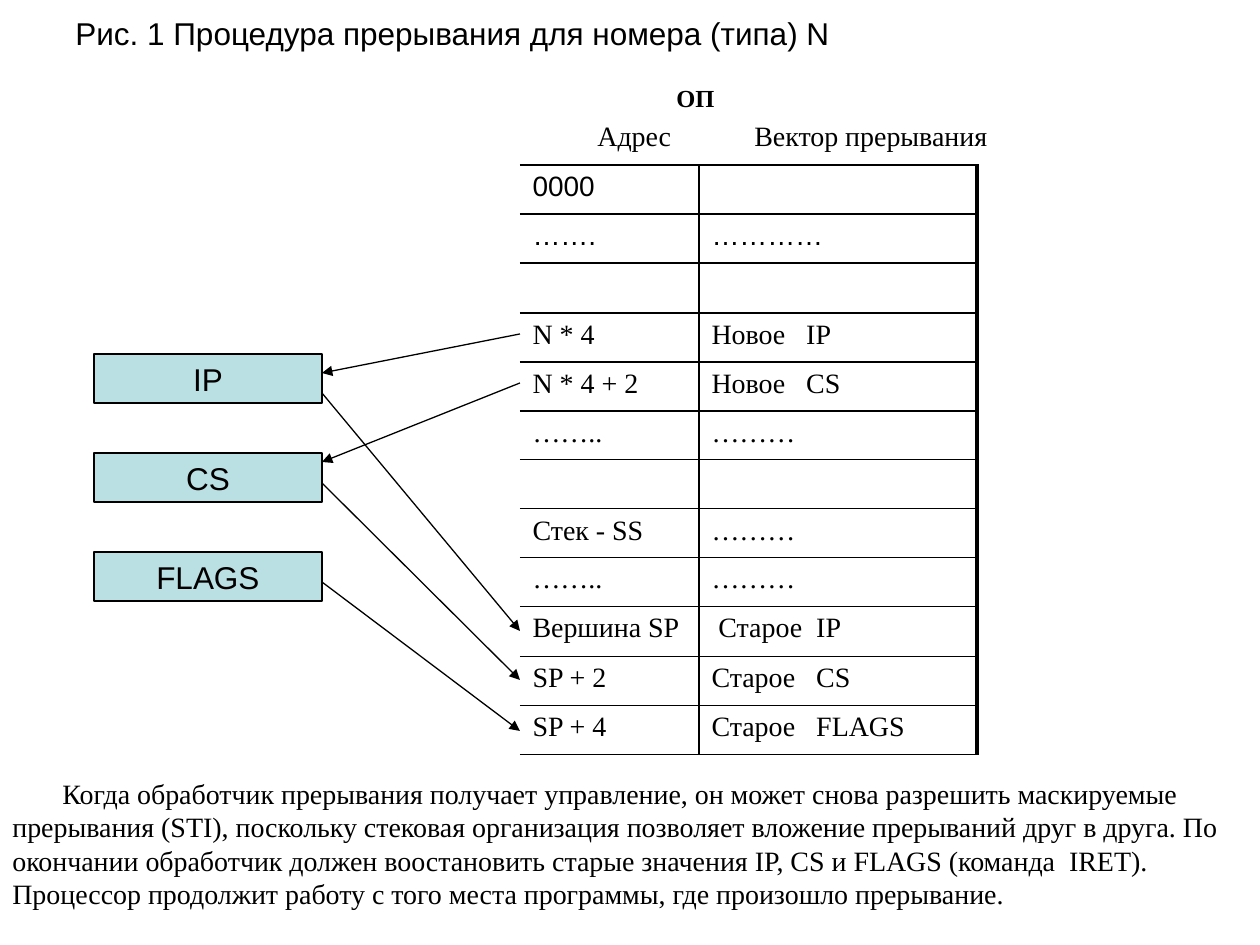
from typing import NamedTuple

from lxml import etree
from pptx import Presentation
from pptx.dml.color import RGBColor
from pptx.enum.shapes import MSO_CONNECTOR, MSO_SHAPE
from pptx.enum.text import MSO_ANCHOR, PP_ALIGN
from pptx.oxml.ns import qn
from pptx.util import Emu, Pt

PX = 914400 // 126
LINE = MSO_CONNECTOR.STRAIGHT
RECT = MSO_SHAPE.RECTANGLE
MID, TOP = MSO_ANCHOR.MIDDLE, MSO_ANCHOR.TOP
LEFT, CENTER = PP_ALIGN.LEFT, PP_ALIGN.CENTER
HUES = {"ink": "000000", "box": "BBE0E3", "page": "FFFFFF"}
SANS, SERIF = "Arial", "Times New Roman"


class Label(NamedTuple):
    """A free text and its frame."""
    text: str
    left: int
    top: int
    width: int
    height: int
    size: int
    font: str = SERIF
    bold: bool = False
    indent: int = 0
    anchor: MSO_ANCHOR = TOP


class Row(NamedTuple):
    """One line of the memory table."""
    addr: str = ""
    value: str = ""
    font: str = SERIF


class Arrow(NamedTuple):
    """An arrow between the table and a register."""
    x1: int
    y1: int
    x2: int
    y2: int


BOX_X, BOX_Y, BOX_W, BOX_H, STEP = 94, 354, 228, 49, 99
TAB_X, TAB_Y, TAB_H = 520, 165, 590
COLS = (179, 278)
EDGE = BOX_X + BOX_W
REGS = ("IP", "CS", "FLAGS")

LABELS = (
    Label("Рис. 1 Процедура прерывания для номера (типа) N",
          63, 0, 1134, 66, 18, SANS, anchor=MID),
    Label("ОП", 664, 77, 80, 40, 14, bold=True),
    Label("Адрес", 585, 112, 110, 46, 16),
    Label("Вектор прерывания", 742, 112, 270, 46, 16),
    Label("Когда обработчик прерывания получает управление, он может снова "
          "разрешить маскируемые прерывания (STI), поскольку стековая "
          "организация позволяет вложение прерываний друг в друга. По "
          "окончании обработчик должен воостановить старые значения IP, CS "
          "и FLAGS (команда  IRET). Процессор продолжит работу с того места "
          "программы, где произошло прерывание.",
          0, 770, 1260, 150, 16, indent=50),
)

ROWS = (
    Row("0000", font=SANS),
    Row("…….", "…………", SANS),
    Row(),
    Row("N * 4", "Новое   IP"),
    Row("N * 4 + 2", "Новое   CS"),
    Row("……..", "………"),
    Row(),
    Row("Стек - SS", "………"),
    Row("……..", "………"),
    Row("Вершина SP", " Старое  IP"),
    Row("SP + 2", "Старое   CS"),
    Row("SP + 4", "Старое   FLAGS"),
)

ARROWS = (
    Arrow(TAB_X, 334, EDGE, 373),
    Arrow(TAB_X, 383, EDGE, 462),
    Arrow(EDGE, 393, TAB_X, 631),
    Arrow(EDGE, 483, TAB_X, 680),
    Arrow(EDGE, 582, TAB_X, 731),
)


def px(*vals: int) -> list[Emu]:
    """Turn pixels into EMU."""
    return [Emu(val * PX) for val in vals]


def hue(name: str) -> RGBColor:
    """Look up a named colour."""
    return RGBColor.from_string(HUES[name])


def put(frame, text: str, size: int, font: str, bold: bool = False,
        align: PP_ALIGN = LEFT) -> None:
    """Write one run into the first paragraph of a frame."""
    para = frame.paragraphs[0]
    para.alignment = align
    para.font.size = Pt(size)
    if not text:
        return
    run = para.add_run()
    run.text = text
    run.font.size = Pt(size)
    run.font.name = font
    run.font.bold = bold
    run.font.color.rgb = hue("ink")


def add_label(slide, item: Label) -> None:
    """Add a free text."""
    box = slide.shapes.add_textbox(
        *px(item.left, item.top, item.width, item.height))
    frame = box.text_frame
    frame.word_wrap = True
    frame.vertical_anchor = item.anchor
    put(frame, item.text, item.size, item.font, item.bold)
    if item.indent:
        props = frame.paragraphs[0]._p.get_or_add_pPr()
        props.set("indent", str(item.indent * PX))


def add_reg(slide, name: str, top: int) -> None:
    """Add a register box."""
    box = slide.shapes.add_shape(RECT, *px(BOX_X, top, BOX_W, BOX_H))
    box.shadow.inherit = False
    box.fill.solid()
    box.fill.fore_color.rgb = hue("box")
    box.line.color.rgb = hue("ink")
    box.line.width = Pt(0.75)
    frame = box.text_frame
    frame.word_wrap = False
    frame.vertical_anchor = MID
    put(frame, name, 18, SANS, align=CENTER)


def add_edge(cell, side: str, width: float) -> None:
    """Draw one cell border; zero width means none."""
    props = cell._tc.get_or_add_tcPr()
    line = etree.SubElement(props, qn("a:ln" + side), w=str(Pt(width)))
    if not width:
        etree.SubElement(line, qn("a:noFill"))
        return
    fill = etree.SubElement(line, qn("a:solidFill"))
    etree.SubElement(fill, qn("a:srgbClr"), val=HUES["ink"])


def add_grid(slide) -> None:
    """Add the memory table."""
    count = len(ROWS)
    grid = slide.shapes.add_table(
        count, len(COLS), *px(TAB_X, TAB_Y, sum(COLS), TAB_H)).table
    grid.first_row = grid.horz_banding = False
    for col, width in zip(grid.columns, px(*COLS)):
        col.width = width
    edges = [round(TAB_H * i / count) for i in range(count + 1)]
    for r, row in enumerate(ROWS):
        grid.rows[r].height = px(edges[r + 1] - edges[r])[0]
        for c, text in enumerate((row.addr, row.value)):
            cell = grid.cell(r, c)
            sides = {"L": c, "R": 2.25 if c else 1, "T": 1, "B": 1}
            for side, width in sides.items():
                add_edge(cell, side, width)
            cell.fill.background()
            put(cell.text_frame, text, 16, row.font)


def add_arrow(slide, item: Arrow) -> None:
    """Add a line with a triangle at its end."""
    link = slide.shapes.add_connector(LINE, *px(*item))
    link.line.color.rgb = hue("ink")
    link.line.width = Pt(0.75)
    etree.SubElement(link.line._get_or_add_ln(), qn("a:tailEnd"),
                     type="triangle")
    etree.SubElement(link._element.spPr, qn("a:effectLst"))


def main() -> None:
    """Build the slide and save it."""
    deck = Presentation()
    deck.slide_width, deck.slide_height = px(1260, 945)
    slide = deck.slides.add_slide(deck.slide_layouts[6])
    slide.background.fill.solid()
    slide.background.fill.fore_color.rgb = hue("page")
    for item in LABELS:
        add_label(slide, item)
    add_grid(slide)
    for i, name in enumerate(REGS):
        add_reg(slide, name, BOX_Y + i * STEP)
    for item in ARROWS:
        add_arrow(slide, item)
    deck.save("out.pptx")


main()
